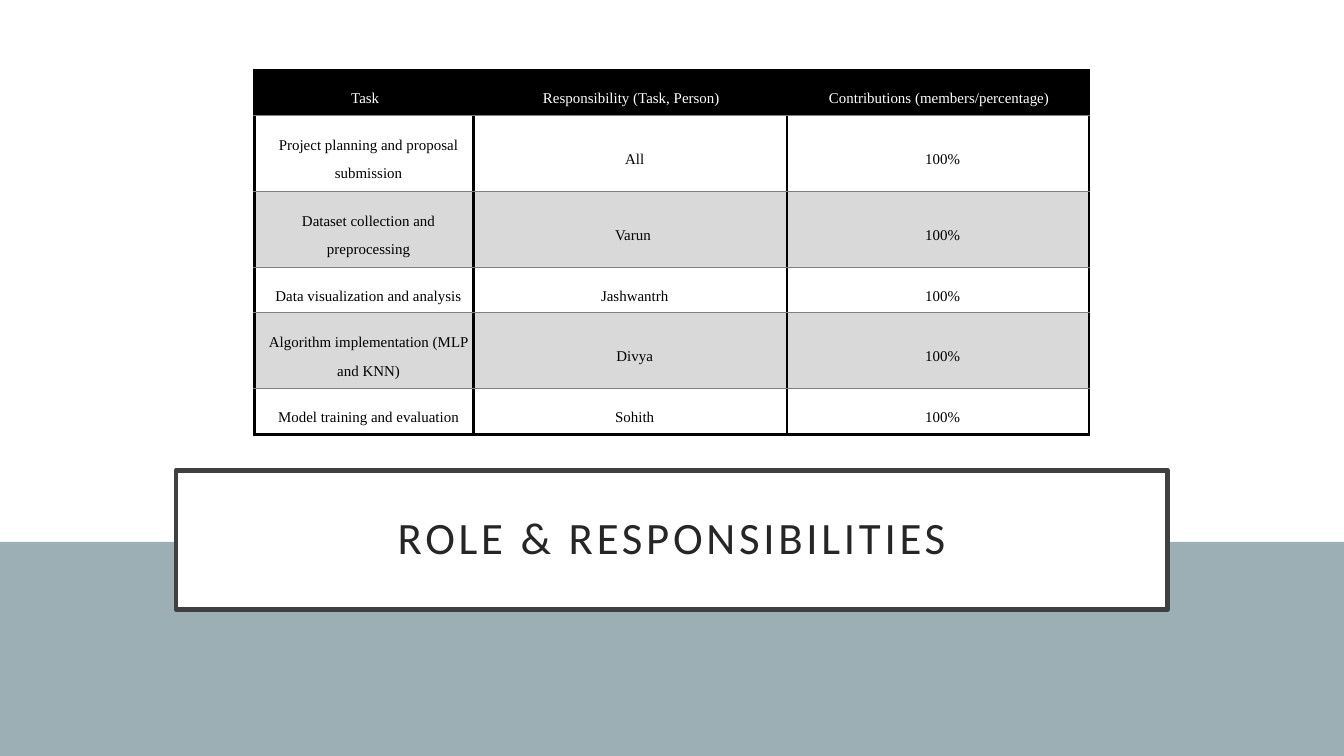
from lxml.etree import SubElement
from pptx import Presentation
from pptx.dml.color import RGBColor as RGB
from pptx.enum.shapes import MSO_SHAPE as SHAPE
from pptx.enum.text import MSO_ANCHOR as ANCHOR, PP_ALIGN as ALIGN
from pptx.oxml.ns import qn
from pptx.util import Pt

COLORS = {
    "white": "FFFFFF", "black": "000000", "band": "9BAFB5", "frame": "404040",
    "title": "262626", "stripe": "D9D9D9", "rule": "808080",
}
ROWS = [
    ("Task", "Responsibility (Task, Person)", "Contributions (members/percentage)"),
    ("Project planning and proposal submission", "All", "100%"),
    ("Dataset collection and preprocessing", "Varun ", "100%"),
    ("Data visualization and analysis", "Jashwantrh", "100%"),
    ("Algorithm implementation (MLP and KNN)", "Divya", "100%"),
    ("Model training and evaluation", "Sohith", "100%"),
]
COL_WIDTHS = (117.4, 167.8, 162)
ONE_LINE, TWO_LINES = 24.4, 40.7
ROW_HEIGHTS = (ONE_LINE, TWO_LINES, TWO_LINES, ONE_LINE, TWO_LINES, ONE_LINE)


def color(name):
    return RGB.from_string(COLORS[name])


def write(tf, text, *, font, size, fill, line_spacing, tracking=0):
    """Put one centred paragraph in a text frame; tracking is in points."""
    p = tf.paragraphs[0]
    p.alignment, p.line_spacing = ALIGN.CENTER, line_spacing
    r = p.add_run()
    r.text = text
    r.font.name, r.font.size = font, Pt(size)
    r.font.color.rgb = color(fill)
    if tracking:
        r.font._element.set("spc", str(tracking * 100))


def set_margins(box, left, top, right, bottom):
    box.margin_left, box.margin_top = Pt(left), Pt(top)
    box.margin_right, box.margin_bottom = Pt(right), Pt(bottom)


def set_borders(cell, **sides):
    """Draw cell borders; call before the fill, which must follow in the XML."""
    tcPr = cell._tc.get_or_add_tcPr()
    for side in "LRTB":
        name, width = sides[side]
        ln = SubElement(tcPr, qn(f"a:ln{side}"), w=str(Pt(width)))
        solid = SubElement(ln, qn("a:solidFill"))
        SubElement(solid, qn("a:srgbClr"), val=COLORS[name])


class Deck:
    """Holds the table style and the slide being built."""
    table_text = dict(font="Times New Roman", size=8, line_spacing=1.71)
    heavy, thin = ("black", 1.5), ("rule", 0.5)

    def __init__(self, prs):
        self.slide = prs.slides.add_slide(prs.slide_layouts[6])

    def rect(self, x, y, w, h, fill, line=None, line_width=0):
        sp = self.slide.shapes.add_shape(SHAPE.RECTANGLE, Pt(x), Pt(y), Pt(w), Pt(h))
        sp.shadow.inherit = False
        sp.fill.solid()
        sp.fill.fore_color.rgb = color(fill)
        if line:
            sp.line.color.rgb, sp.line.width = color(line), Pt(line_width)
        else:
            sp.line.fill.background()
        return sp

    def title(self, text, x, y, w, h):
        tf = self.rect(x, y, w, h, "white", "frame", 2.5).text_frame
        tf.word_wrap, tf.vertical_anchor = True, ANCHOR.MIDDLE
        set_margins(tf, 21.6, 14.4, 21.6, 14.4)
        write(tf, text, font="Calibri", size=24, fill="title",
              line_spacing=0.9, tracking=2)

    def table(self, rows, x, y, widths, heights):
        table = self.slide.shapes.add_table(
            len(rows), len(widths), Pt(x), Pt(y),
            Pt(sum(widths)), Pt(sum(heights))).table
        table.horz_banding = False
        for column, width in zip(table.columns, widths):
            column.width = Pt(width)
        for row, height in zip(table.rows, heights):
            row.height = Pt(height)
        last = len(rows) - 1
        for i, texts in enumerate(rows):
            for j, text in enumerate(texts):
                self.cell(table.cell(i, j), text, i, last)

    def cell(self, cell, text, row, last):
        header = row == 0
        cell.vertical_anchor = ANCHOR.MIDDLE
        set_margins(cell, 5, 4.3, 3.6 if header else 0, 4.3)
        set_borders(cell, L=self.heavy, R=self.heavy,
                    T=self.heavy if header else self.thin,
                    B=self.heavy if row == last else self.thin)
        if header or row % 2 == 0:
            cell.fill.solid()
            cell.fill.fore_color.rgb = color("black" if header else "stripe")
        else:
            cell.fill.background()
        write(cell.text_frame, text, fill="white" if header else "black",
              **self.table_text)


def main():
    prs = Presentation()
    prs.slide_width, prs.slide_height = Pt(720), Pt(405)
    deck = Deck(prs)
    deck.rect(0, 290.3, 720, 114.7, "band")
    deck.title("ROLE & RESPONSIBILITIES", 94.4, 252, 531.2, 74.6)
    deck.table(ROWS, 136.3, 37.5, COL_WIDTHS, ROW_HEIGHTS)
    prs.save("out.pptx")


if __name__ == "__main__":
    main()
